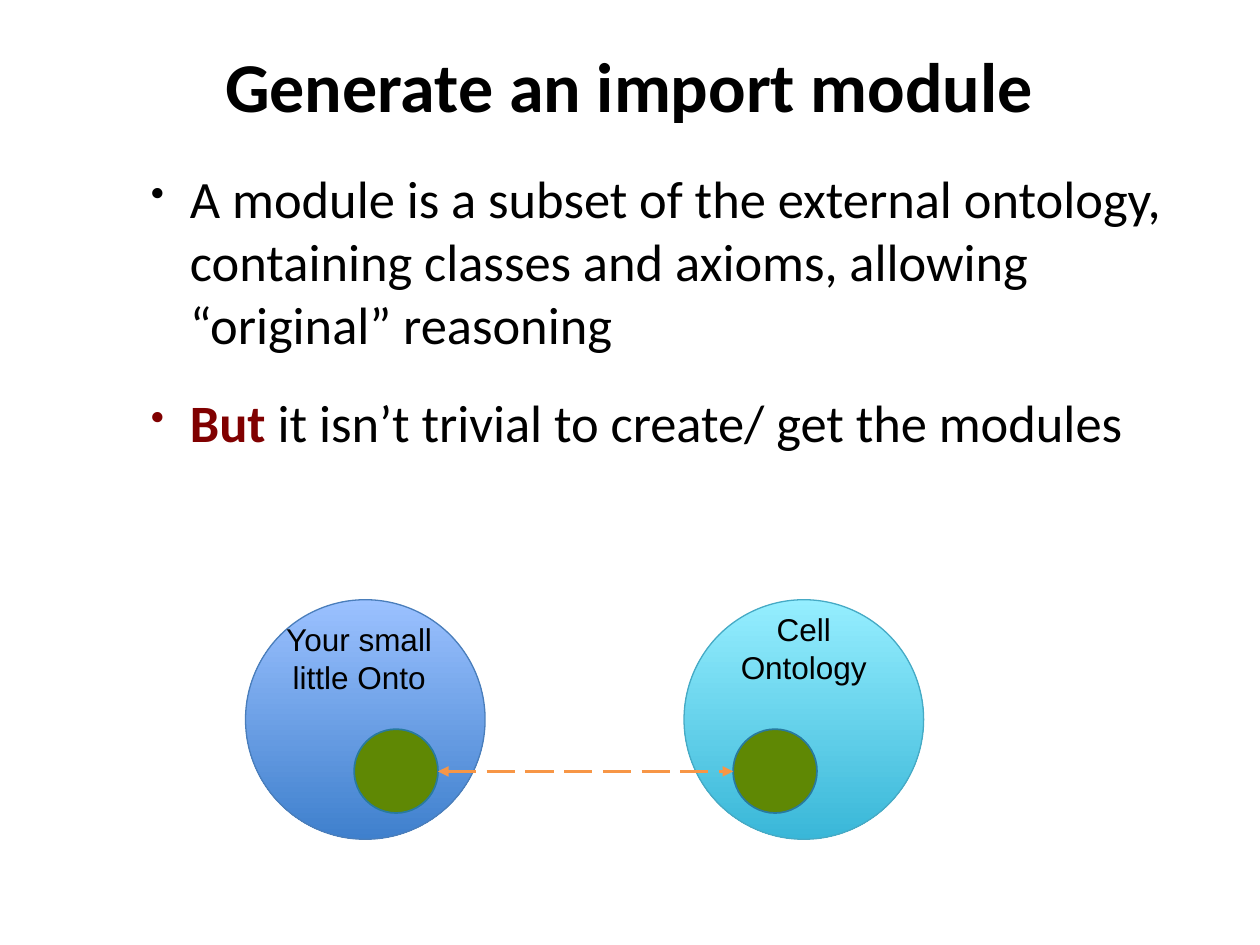
"""Build the slide about generating an import module."""
from lxml import etree
from pptx import Presentation
from pptx.dml.color import RGBColor
from pptx.enum.dml import MSO_LINE
from pptx.enum.shapes import MSO_CONNECTOR, MSO_SHAPE
from pptx.enum.text import MSO_ANCHOR, PP_ALIGN
from pptx.oxml.ns import qn
from pptx.util import Cm, Pt

OVAL = MSO_SHAPE.OVAL
ELBOW = MSO_CONNECTOR.ELBOW
LONG_DASH = MSO_LINE.LONG_DASH
TOP, MIDDLE = MSO_ANCHOR.TOP, MSO_ANCHOR.MIDDLE
LEFT, CENTER = PP_ALIGN.LEFT, PP_ALIGN.CENTER

BLACK = RGBColor(0x00, 0x00, 0x00)
MAROON = RGBColor(0x80, 0x00, 0x00)
BLUE_TOP = RGBColor(0x9B, 0xC1, 0xFF)
BLUE_BOTTOM = RGBColor(0x3F, 0x80, 0xCD)
BLUE_LINE = RGBColor(0x4A, 0x7E, 0xBB)
CYAN_TOP = RGBColor(0x95, 0xEE, 0xFF)
CYAN_BOTTOM = RGBColor(0x39, 0xB7, 0xD8)
CYAN_LINE = RGBColor(0x46, 0xAA, 0xC5)
GREEN = RGBColor(0x5F, 0x88, 0x04)
TEAL = RGBColor(0x28, 0x7A, 0x9E)
ORANGE = RGBColor(0xF7, 0x96, 0x46)


def add_text(box, paragraphs, font, size, align, anchor=TOP):
    tf = s.shapes.add_textbox(*[Cm(v) for v in box]).text_frame
    tf.word_wrap = True
    tf.vertical_anchor = anchor
    tf.text = "\n".join(paragraphs)
    for p in tf.paragraphs:
        p.alignment = align
        for r in p.runs:
            r.font.name = font
            r.font.size = Pt(size)
            r.font.color.rgb = BLACK
    return tf


def add_circle(left, top, size, line, width):
    sp = s.shapes.add_shape(OVAL, Cm(left), Cm(top), Cm(size), Cm(size))
    sp.shadow.inherit = False
    sp.line.color.rgb = line
    sp.line.width = Pt(width)
    return sp


prs = Presentation()
prs.slide_width, prs.slide_height = Cm(25.4), Cm(19.05)
s = prs.slides.add_slide(prs.slide_layouts[6])

tf = add_text((1.52, 0.64, 22.33, 2.11), ["Generate an import module"],
              "Calibri", 40, CENTER, MIDDLE)
tf.paragraphs[0].runs[0].font.bold = True

tf = add_text((1.52, 3.23, 22.33, 6.99), [
    "A module is a subset of the external ontology, containing classes "
    "and axioms, allowing “original” reasoning",
    "But it isn’t trivial to create/ get the modules",
], "Calibri", 30, LEFT)
for p in tf.paragraphs:
    p.space_after = Pt(14.3)
    pPr = p._p.get_or_add_pPr()
    pPr.set("marL", str(Cm(2.06)))
    pPr.set("indent", str(-Cm(0.79)))
    etree.SubElement(pPr, qn("a:buSzPct")).set("val", "75000")
    etree.SubElement(pPr, qn("a:buChar")).set("char", "•")
p = tf.paragraphs[1]
p.space_before = Pt(5.6)
but, rest = p.runs[0], p.add_run()
but.text, rest.text = "But ", but.text.removeprefix("But ")
for r, color in ((but, MAROON), (rest, BLACK)):
    r.font.name = "Calibri"
    r.font.size = Pt(30)
    r.font.bold = r is but
    r.font.color.rgb = color

ontologies = [
    (4.95, BLUE_TOP, BLUE_BOTTOM, BLUE_LINE,
     (5.36, 12.37, 3.76, 1.78), ["Your small little Onto"]),
    (13.79, CYAN_TOP, CYAN_BOTTOM, CYAN_LINE,
     (13.79, 12.17, 4.83, 1.78), ["Cell", "Ontology"]),
]
for left, top_color, bottom_color, line, box, label in ontologies:
    sp = add_circle(left, 12.09, 4.83, line, 0.75)
    sp.fill.gradient()
    sp.fill.gradient_angle = 270
    for stop, color in zip(sp.fill.gradient_stops, (top_color, bottom_color)):
        stop.color.rgb = color
    add_text(box, label, "Arial", 18, CENTER)

modules = [add_circle(left, 14.7, 1.69, TEAL, 1) for left in (7.14, 14.78)]
for sp in modules:
    sp.fill.solid()
    sp.fill.fore_color.rgb = GREEN

link = s.shapes.add_connector(ELBOW, 0, 0, 0, 0)
link.begin_x, link.begin_y = Cm(8.83), Cm(15.55)
link.end_x, link.end_y = Cm(14.78), Cm(15.55)
link.line.color.rgb = ORANGE
link.line.width = Pt(2)
link.line.dash_style = LONG_DASH
ln = link.line._get_or_add_ln()
for end in ("a:headEnd", "a:tailEnd"):
    etree.SubElement(ln, qn(end)).set("type", "triangle")
etree.SubElement(link._element.spPr, qn("a:effectLst"))

prs.save("out.pptx")
